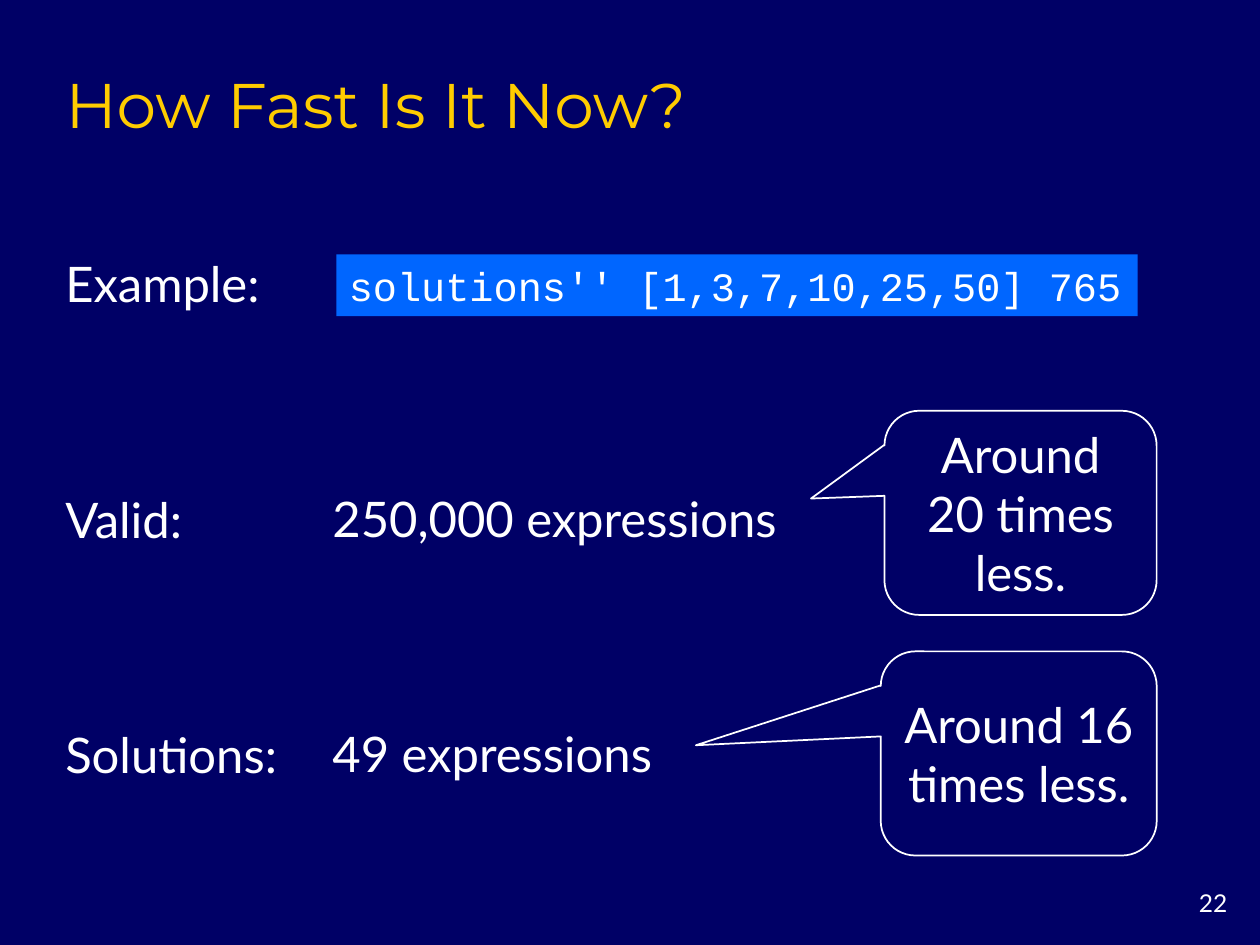
from dataclasses import dataclass

from pptx import Presentation
from pptx.dml.color import RGBColor
from pptx.enum.shapes import MSO_SHAPE
from pptx.enum.text import MSO_ANCHOR, PP_ALIGN
from pptx.util import Inches, Pt

WHITE, GOLD, BLUE, NAVY = "FFFFFF", "FFCC00", "0066FF", "000066"
BODY = 28
GAP = 3 * 1.2 * BODY  # three body lines between rows


@dataclass
class Box:
    """Place in percent of the slide's width and height."""
    x: float
    y: float
    w: float
    h: float


@dataclass
class Label:
    box: Box
    lines: list[str]
    size: float = BODY
    align: PP_ALIGN = PP_ALIGN.LEFT
    anchor: MSO_ANCHOR = MSO_ANCHOR.MIDDLE


@dataclass
class Bubble:
    box: Box
    text: str
    tip: tuple[float, float]


deck = Presentation()
deck.slide_width, deck.slide_height = Inches(10), Inches(7.5)
slide = deck.slides.add_slide(deck.slide_layouts[5])
shapes = slide.shapes


def color(code: str) -> RGBColor:
    return RGBColor.from_string(code)


def area(box: Box) -> list[int]:
    wide, high = deck.slide_width / 100, deck.slide_height / 100
    return [round(v) for v in (box.x * wide, box.y * high,
                               box.w * wide, box.h * high)]


def write(shape, lines: list[str], size: float = BODY, font: str = "Lato",
          ink: str = WHITE, align: PP_ALIGN = PP_ALIGN.LEFT,
          anchor: MSO_ANCHOR = MSO_ANCHOR.MIDDLE, wrap: bool = True) -> None:
    frame = shape.text_frame
    look = {"word_wrap": wrap, "vertical_anchor": anchor,
            "margin_left": Inches(0.1), "margin_right": Inches(0.1),
            "margin_top": Inches(0.05), "margin_bottom": Inches(0.05)}
    for name, value in look.items():
        setattr(frame, name, value)
    frame.text = "\n".join(lines)
    for row, para in enumerate(frame.paragraphs):
        para.alignment = align
        para.space_before = Pt(GAP if row else 0)
        for name, value in {"size": Pt(size), "name": font}.items():
            setattr(para.runs[0].font, name, value)
        para.runs[0].font.color.rgb = color(ink)


def draw_label(label: Label) -> None:
    write(shapes.add_textbox(*area(label.box)), label.lines, label.size,
          align=label.align, anchor=label.anchor)


def draw_bubble(bubble: Bubble) -> None:
    shape = shapes.add_shape(MSO_SHAPE.ROUNDED_RECTANGULAR_CALLOUT,
                             *area(bubble.box))
    shape.shadow.inherit = False
    shape.fill.background()
    shape.line.color.rgb = color(WHITE)
    shape.line.width = Pt(1)
    for i, value in enumerate((*bubble.tip, 0.17)):
        shape.adjustments[i] = value
    write(shape, [bubble.text], align=PP_ALIGN.CENTER)


# Background and title
slide.background.fill.solid()
slide.background.fill.fore_color.rgb = color(NAVY)
title = shapes.title
for name, value in zip(("left", "top", "width", "height"),
                       area(Box(4.2, 5.6, 85, 10))):
    setattr(title, name, value)
write(title, ["How Fast Is It Now?"], 36, "Montserrat", GOLD,
      anchor=MSO_ANCHOR.BOTTOM)

# Code bar
code = shapes.add_shape(MSO_SHAPE.RECTANGLE, *area(Box(26.7, 26.93, 63.6, 6.53)))
code.shadow.inherit = False
code.fill.solid()
code.fill.fore_color.rgb = color(BLUE)
code.line.fill.background()
write(code, ["solutions'' [1,3,7,10,25,50] 765"], 23, "Courier New", wrap=False)

# Row names, values and page number
for label in (
    Label(Box(4.2, 26.13, 27.1, 57.47), ["Example:", "Valid:", "Solutions:"]),
    Label(Box(25.4, 47.87, 37.4, 38.67),
          ["250,000 expressions", "49 expressions"]),
    Label(Box(91.7, 93.33, 6.7, 4.4), ["22"], 14, PP_ALIGN.RIGHT,
          MSO_ANCHOR.TOP),
):
    draw_label(label)

# Speech bubbles
for bubble in (
    Bubble(Box(70.2, 43.47, 21.6, 21.6), "Around 20 times less.", (-0.77, -0.07)),
    Bubble(Box(69.9, 68.93, 21.9, 21.6), "Around 16 times less.", (-1.17, -0.04)),
):
    draw_bubble(bubble)

deck.save("out.pptx")
